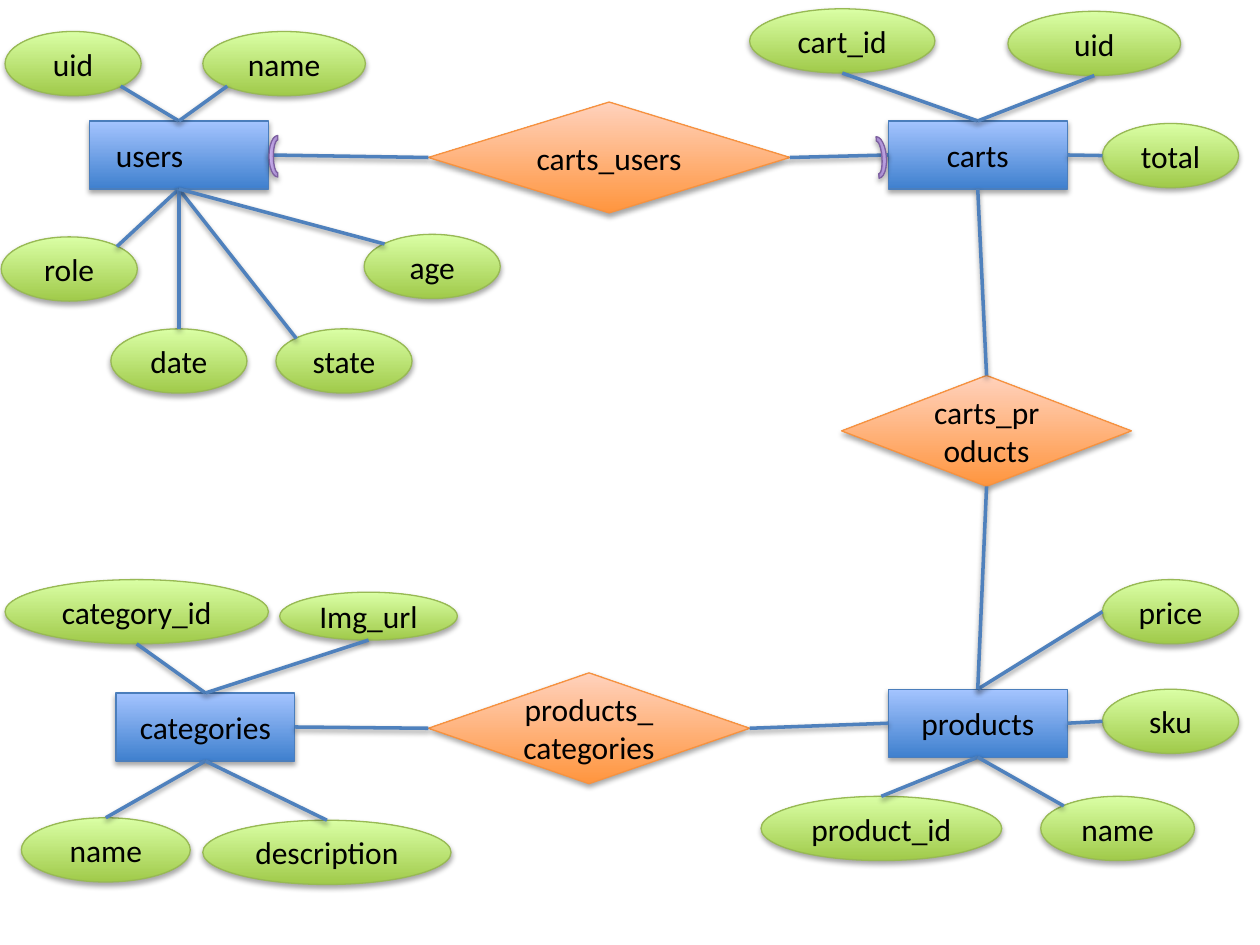
from dataclasses import dataclass
from lxml import etree
from pptx import Presentation
from pptx.dml.color import RGBColor
from pptx.enum.shapes import MSO_CONNECTOR, MSO_SHAPE
from pptx.enum.text import MSO_ANCHOR, PP_ALIGN
from pptx.oxml.ns import qn
from pptx.util import Inches, Pt

RECT = MSO_SHAPE.RECTANGLE
DIAMOND = MSO_SHAPE.DIAMOND
OVAL = MSO_SHAPE.OVAL
ARC = MSO_SHAPE.BLOCK_ARC
LINE = MSO_CONNECTOR.STRAIGHT
CENTER = PP_ALIGN.CENTER
MIDDLE = MSO_ANCHOR.MIDDLE


@dataclass(frozen=True)
class Theme:
    table: tuple = ("3F80CE", "A4C4FF", "4B7EBC")
    bond: tuple = ("FF953E", "FFD2BD", "F69240")
    field: tuple = ("A0CA4A", "DAFFA5", "98B955")
    arc: tuple = ("7F5BAB", "C8B0ED", "7D60A0")
    link: str = "4F81BD"
    ink: str = "000000"
    font: str = "Calibri"
    size: float = 18
    edge: float = 0.75
    stroke: float = 2


THEME = Theme()
BOX_W, BOX_H = 1.42, 0.54
FIELD_W, FIELD_H = 1.08, 0.51
BOND_H = 0.88
NEAR, FAR = 0.15, 0.85
SIDES = {"top": (0.5, 0), "left": (0, 0.5), "bottom": (0.5, 1), "right": (1, 0.5)}
RIM = {
    "top": (0.5, 0), "top left": (NEAR, NEAR), "left": (0, 0.5),
    "bottom left": (NEAR, FAR), "bottom": (0.5, 1),
    "bottom right": (FAR, FAR), "right": (1, 0.5), "top right": (FAR, NEAR),
}

TABLES = {
    "users\t": (0.71, 0.96, [
        ("uid", -0.67, -0.71, FIELD_W, FIELD_H, "top", "bottom right"),
        ("name", 0.9, -0.71, 1.29, FIELD_H, "top", "bottom left"),
        ("role", -0.7, 0.92, FIELD_W, FIELD_H, "bottom", "top right"),
        ("state", 1.48, 1.65, FIELD_W, FIELD_H, "bottom", "top left"),
        ("date", 0.17, 1.65, FIELD_W, FIELD_H, "bottom", "top"),
        ("age", 2.18, 0.9, FIELD_W, FIELD_H, "bottom", "top left"),
    ]),
    "carts": (7.05, 0.96, [
        ("cart_id", -1.1, -0.89, 1.47, FIELD_H, "top", "bottom"),
        ("uid", 0.95, -0.87, 1.37, FIELD_H, "top", "bottom"),
        ("total", 1.7, 0.02, FIELD_W, FIELD_H, "right", "left"),
    ]),
    "products": (7.05, 5.47, [
        ("price", 1.7, -0.87, FIELD_W, FIELD_H, "top", "left"),
        ("sku", 1.7, 0, FIELD_W, FIELD_H, "right", "left"),
        ("product_id", -1.01, 0.85, 1.91, FIELD_H, "bottom", "top"),
        ("name", 1.21, 0.85, 1.22, FIELD_H, "bottom", "top left"),
    ]),
    "categories": (0.92, 5.5, [
        ("category_id", -0.88, -0.9, 2.09, FIELD_H, "top", "bottom"),
        ("Img_url", 1.3, -0.8, 1.41, 0.38, "top", "bottom"),
        ("name", -0.75, 0.99, 1.34, FIELD_H, "bottom", "top"),
        ("description", 0.69, 1.01, 1.97, FIELD_H, "bottom", "top"),
    ]),
}
BONDS = [
    ("carts_users", 3.4, 0.81, 2.87,
     [("users\t", "right", "left"), ("carts", "left", "right")]),
    ("carts_products", 6.68, 2.98, 2.3,
     [("carts", "bottom", "top"), ("products", "top", "bottom")]),
    ("products_categories", 3.4, 5.34, 2.55,
     [("products", "left", "right"), ("categories", "right", "left")]),
]
ARCS = [(2.04, 1.17, 270), (6.8, 1.18, 85.7)]


def add_shadow(item, dist, alpha):
    effects = etree.SubElement(item._element.spPr, qn("a:effectLst"))
    shadow = etree.SubElement(
        effects, qn("a:outerShdw"), blurRad=str(Pt(3.1)),
        dist=str(Pt(dist)), dir="5400000", rotWithShape="0")
    color = etree.SubElement(shadow, qn("a:srgbClr"), val="000000")
    etree.SubElement(color, qn("a:alpha"), val=str(alpha * 1000))


def add_node(slide, kind, box, colors, text=""):
    node = slide.shapes.add_shape(kind, *map(Inches, box))
    low, high, edge = colors
    node.fill.gradient()
    node.fill.gradient_angle = 90
    for stop, color in zip(node.fill.gradient_stops, (low, high)):
        stop.color.rgb = RGBColor.from_string(color)
    node.line.color.rgb = RGBColor.from_string(edge)
    node.line.width = Pt(THEME.edge)
    add_shadow(node, 1.8, 35)
    if text:
        frame = node.text_frame
        frame.word_wrap = True
        frame.vertical_anchor = MIDDLE
        para = frame.paragraphs[0]
        para.alignment = CENTER
        run = para.add_run()
        run.text = text
        run.font.name = THEME.font
        run.font.size = Pt(THEME.size)
        run.font.color.rgb = RGBColor.from_string(THEME.ink)
    return node


def find_site(node, side):
    sites = RIM if node.auto_shape_type == OVAL else SIDES
    across, down = sites[side]
    x = node.left + round(node.width * across)
    y = node.top + round(node.height * down)
    return x, y, list(sites).index(side)


def add_link(slide, start, start_side, end, end_side):
    x1, y1, first = find_site(start, start_side)
    x2, y2, last = find_site(end, end_side)
    link = slide.shapes.add_connector(LINE, x1, y1, x2, y2)
    link.line.color.rgb = RGBColor.from_string(THEME.link)
    link.line.width = Pt(THEME.stroke)
    add_shadow(link, 1.6, 38)
    joints = link._element.nvCxnSpPr.cNvCxnSpPr
    for tag, node, site in (("a:stCxn", start, first), ("a:endCxn", end, last)):
        etree.SubElement(joints, qn(tag), id=str(node.shape_id), idx=str(site))


def add_table_group(slide, name, left, top, fields):
    table = add_node(slide, RECT, (left, top, BOX_W, BOX_H), THEME.table, name)
    for text, dx, dy, width, height, side, rim in fields:
        box = (left + dx, top + dy, width, height)
        field = add_node(slide, OVAL, box, THEME.field, text)
        add_link(slide, table, side, field, rim)
    return table


def add_bond(slide, tables, name, left, top, width, ends):
    box = (left, top, width, BOND_H)
    bond = add_node(slide, DIAMOND, box, THEME.bond, name)
    for table, side, tip in ends:
        add_link(slide, tables[table], side, bond, tip)


def main():
    deck = Presentation()
    deck.slide_width = Inches(10)
    deck.slide_height = Inches(7.5)
    slide = deck.slides.add_slide(deck.slide_layouts[6])
    tables = {name: add_table_group(slide, name, *place)
              for name, place in TABLES.items()}
    for bond in BONDS:
        add_bond(slide, tables, *bond)
    for left, top, angle in ARCS:
        arc = add_node(slide, ARC, (left, top, 0.33, 0.14), THEME.arc)
        arc.rotation = angle
    deck.save("out.pptx")


main()
